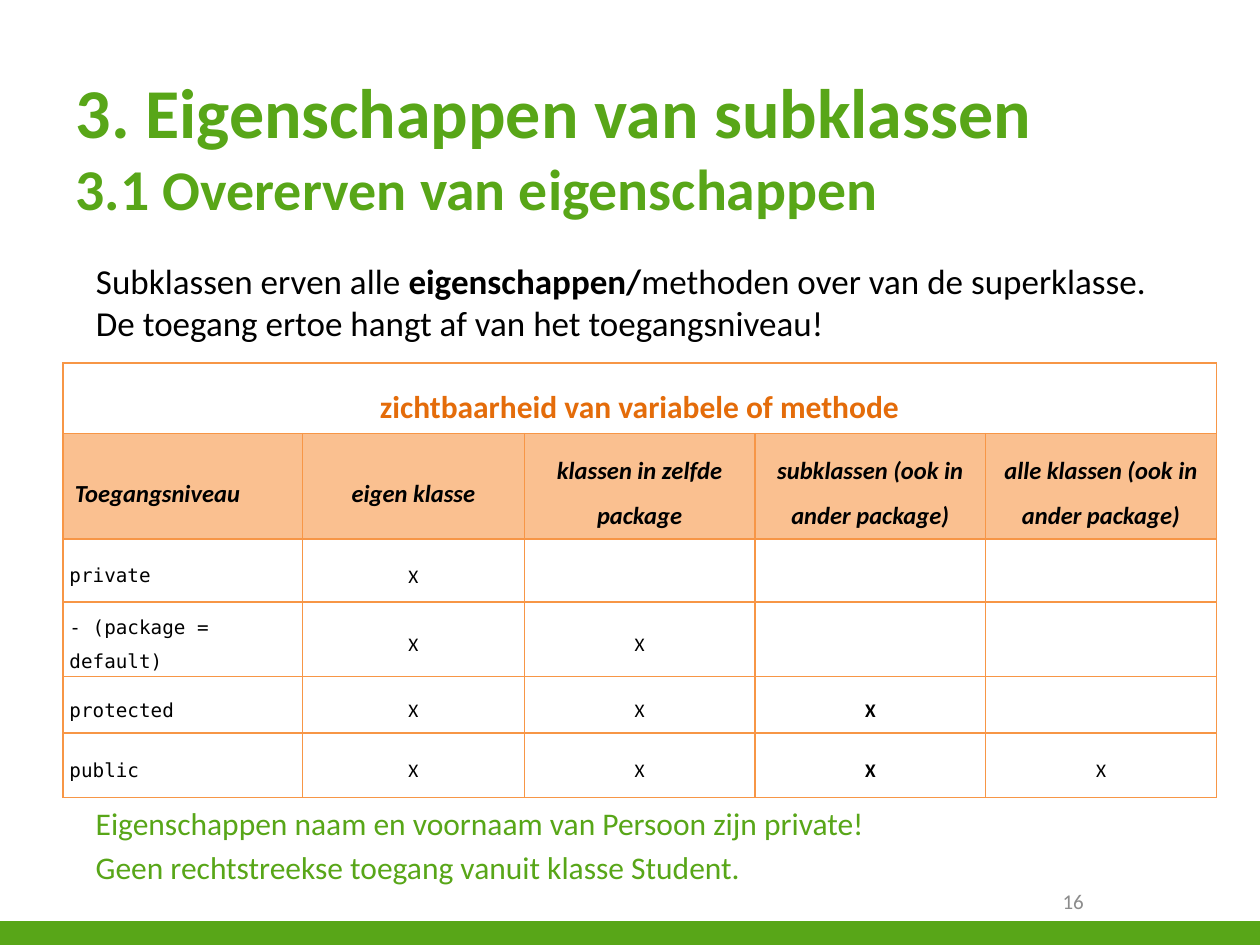
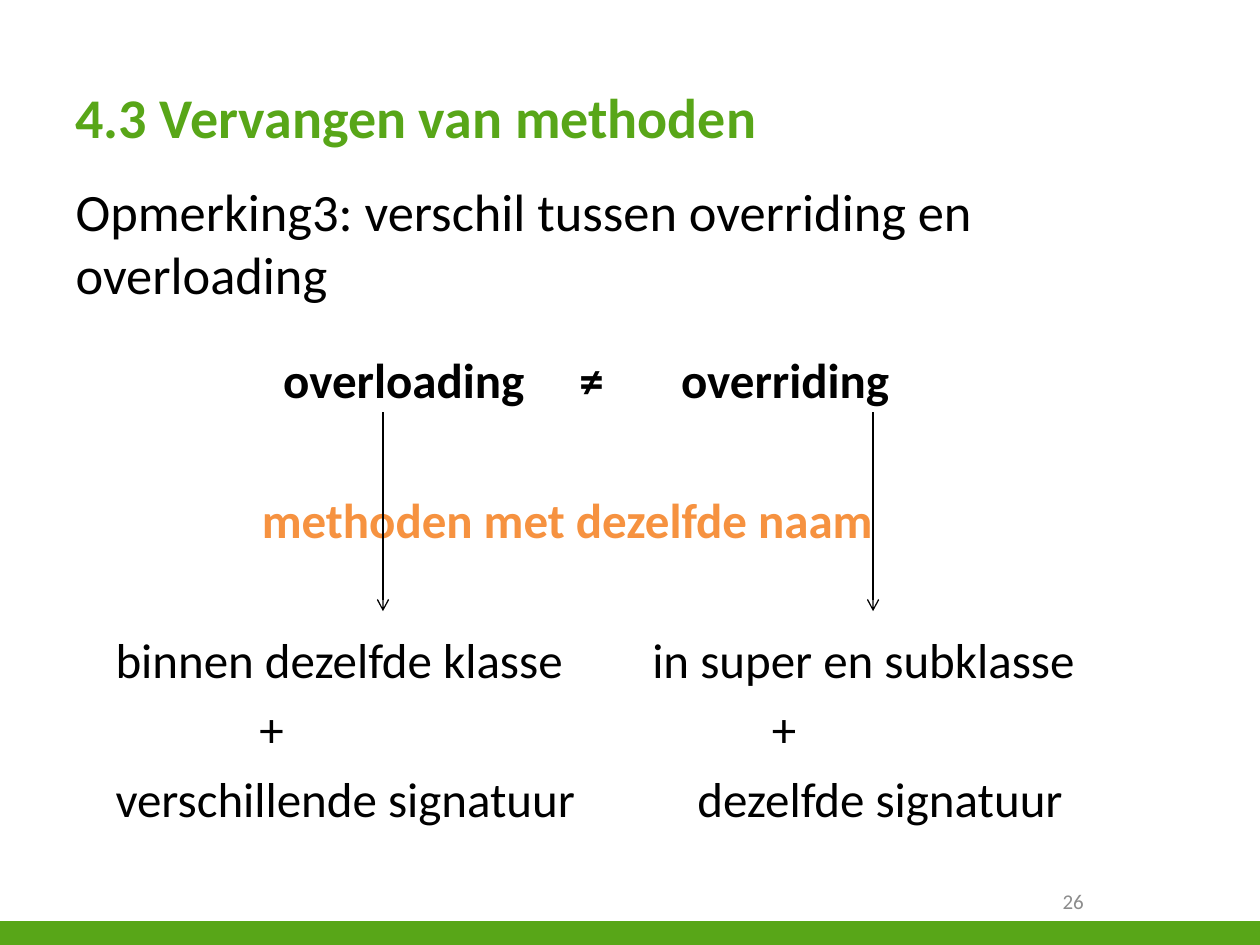
from dataclasses import dataclass

from lxml import etree
from pptx import Presentation
from pptx import util as u
from pptx.dml.color import RGBColor
from pptx.enum import shapes, text
from pptx.oxml import ns

COLORS = {
    "green": "58A618",
    "black": "000000",
    "white": "FFFFFF",
    "grey": "8C8C8C",
    "orange": "F69240",
    "dark_orange": "E46C0A",
    "peach": "FAC090",
    "border": "F79646",
}
SANS = "Calibri"
MONO = "DejaVu Sans Mono"
LEFT, CENTER, RIGHT = text.PP_ALIGN.LEFT, text.PP_ALIGN.CENTER, text.PP_ALIGN.RIGHT
TOP, MIDDLE = text.MSO_ANCHOR.TOP, text.MSO_ANCHOR.MIDDLE


@dataclass(frozen=True)
class Area:
    left: float
    top: float
    width: float
    height: float

    def lengths(self) -> tuple:
        return tuple(u.Cm(n) for n in (self.left, self.top, self.width, self.height))


@dataclass(frozen=True)
class Span:
    words: str
    size: float | None = None
    bold: bool | None = None
    color: str | None = None


@dataclass(frozen=True)
class Row:
    spans: list[Span]
    tabs: tuple[float, ...] = ()
    before: float = 6


@dataclass(frozen=True)
class Access:
    level: str
    marks: tuple[str, ...]
    height: float


NUMBER_AREA = Area(18.21, 17.65, 3.89, 1.02)
BAND_AREA = Area(0, 18.57, 25.4, 0.48)
NOTES_AREA = Area(1.68, 16.08, 19.2, 2.21)
COMPARISON_AREA = Area(2.08, 6.93, 20.02, 10.72)
TABLE_LEFT, TABLE_TOP = 1.27, 7.32
COLUMN_WIDTHS = [4.83, 4.47, 4.65, 4.65, 4.65]
CAPTION_HEIGHT, HEADER_HEIGHT = 1.42, 2.13
HEADERS = [
    "Toegangsniveau",
    "eigen klasse",
    "klassen in zelfde package",
    "subklassen (ook in ander package)",
    "alle klassen (ook in ander package)",
]
ACCESS_ROWS = [
    Access("private", ("X",), 1.27),
    Access("- (package = default)", ("X", "X"), 1.5),
    Access("protected", ("X", "X", "X"), 1.14),
    Access("public", ("X", "X", "X", "X"), 1.3),
]
SUBCLASS_COLUMN = 3
COMPARISON = [
    Row([Span("\toverloading\t≠\toverriding", bold=True)], (3.38, 9.35, 11.4)),
    Row([Span("\tmethoden met dezelfde naam", bold=True, color="orange")], (2.95,), 46.2),
    Row([Span("binnen dezelfde klasse\tin super en subklasse")], (10.82,), 46.2),
    Row([Span("\t+\t+")], (2.9, 13.23)),
    Row([Span("verschillende signatuur\tdezelfde signatuur")], (11.73,)),
]
ARROW_XS = (7.72, 17.6)
ARROW_TOP, ARROW_BOTTOM = 8.31, 12.32


def rgb(name: str) -> RGBColor:
    return RGBColor.from_string(COLORS[name])


def write(para, spans: str | list[Span], *, size: float, color: str = "black",
          bold: bool = False, italic: bool = False, font: str = SANS, align=LEFT,
          line: float | None = None, before: float | None = None,
          after: float | None = None) -> None:
    para.alignment = align
    if line is not None:
        para.line_spacing = line
    if before is not None:
        para.space_before = u.Pt(before)
    if after is not None:
        para.space_after = u.Pt(after)
    for span in [Span(spans)] if isinstance(spans, str) else spans:
        for index, words in enumerate(span.words.split("\n")):
            if index:
                para.add_line_break()
            if not words:
                continue
            run = para.add_run()
            run.text = words
            run.font.name = font
            run.font.size = u.Pt(span.size or size)
            run.font.bold = bold if span.bold is None else span.bold
            run.font.italic = italic
            run.font.color.rgb = rgb(span.color or color)


def prepare_frame(box, anchor=TOP):
    frame = box.text_frame
    frame.word_wrap = True
    frame.auto_size = text.MSO_AUTO_SIZE.NONE
    frame.vertical_anchor = anchor
    return frame


def add_box(page, area: Area, anchor=TOP):
    return prepare_frame(page.shapes.add_textbox(*area.lengths()), anchor)


def fill_placeholder(box, area: Area, spans: str | list[Span], anchor=TOP, **style) -> None:
    box.left, box.top, box.width, box.height = area.lengths()
    para = prepare_frame(box, anchor).paragraphs[0]
    write(para, spans, **style)
    properties = para._p.get_or_add_pPr()
    properties.set("marL", "0")
    properties.set("indent", "0")
    etree.SubElement(properties, ns.qn("a:buNone"))


def add_page(deck, number: int, title_height: float, title: str | list[Span],
             title_size: float, body_area: Area, body: str | list[Span], body_size: float):
    page = deck.slides.add_slide(deck.slide_layouts[1])
    fill_placeholder(page.shapes.title, Area(1.27, 0.76, 22.86, title_height), title,
                     MIDDLE, size=title_size, bold=True, color="green")
    fill_placeholder(page.placeholders[1], body_area, body, size=body_size)
    frame = add_box(page, NUMBER_AREA, MIDDLE)
    write(frame.paragraphs[0], str(number), size=12, color="grey", align=RIGHT)
    return page


def add_master_band(deck, page) -> None:
    band = page.shapes.add_shape(shapes.MSO_SHAPE.RECTANGLE, *BAND_AREA.lengths())
    band.shadow.inherit = False
    band.fill.solid()
    band.fill.fore_color.rgb = rgb("green")
    band.line.fill.background()
    band.element.nvSpPr.cNvPr.set("id", "99")
    deck.slide_master.element.cSld.spTree.insert(2, band.element)


def format_cell(cell, words: str, *, fill: str = "white", indent: float = 0, **style) -> None:
    cell.margin_left, cell.margin_right = u.Cm(0.13 + indent), u.Cm(0.13)
    cell.margin_top = cell.margin_bottom = 0
    cell.vertical_anchor = MIDDLE
    properties = cell._tc.get_or_add_tcPr()
    for side in ("lnL", "lnR", "lnT", "lnB"):
        edge = etree.SubElement(properties, ns.qn(f"a:{side}"), w=str(u.Pt(1)))
        paint = etree.SubElement(edge, ns.qn("a:solidFill"))
        etree.SubElement(paint, ns.qn("a:srgbClr"), val=COLORS["border"])
    cell.fill.solid()
    cell.fill.fore_color.rgb = rgb(fill)
    write(cell.text_frame.paragraphs[0], words, line=1.5, after=6, **style)


def add_access_table(page) -> None:
    heights = [CAPTION_HEIGHT, HEADER_HEIGHT] + [access.height for access in ACCESS_ROWS]
    area = Area(TABLE_LEFT, TABLE_TOP, sum(COLUMN_WIDTHS), sum(heights))
    table = page.shapes.add_table(len(heights), len(COLUMN_WIDTHS), *area.lengths()).table
    table.first_row = table.horz_banding = False
    for column, width in zip(table.columns, COLUMN_WIDTHS):
        column.width = u.Cm(width)
    for row, height in zip(table.rows, heights):
        row.height = u.Cm(height)

    table.cell(0, 0).merge(table.cell(0, len(COLUMN_WIDTHS) - 1))
    for column, header in enumerate(HEADERS):
        caption = "" if column else "zichtbaarheid van variabele of methode"
        format_cell(table.cell(0, column), caption, size=18, bold=True,
                    color="dark_orange", align=CENTER)
        format_cell(table.cell(1, column), header, fill="peach", size=14, bold=True,
                    italic=True, align=CENTER if column else LEFT,
                    indent=0 if column else 0.11)
    for row, access in enumerate(ACCESS_ROWS, start=2):
        format_cell(table.cell(row, 0), access.level, size=11, font=MONO)
        for column in range(1, len(COLUMN_WIDTHS)):
            mark = access.marks[column - 1] if column <= len(access.marks) else ""
            format_cell(table.cell(row, column), mark, size=11, align=CENTER,
                        bold=column == SUBCLASS_COLUMN)


def add_lines(frame, rows: list[Row], **style) -> None:
    for index, row in enumerate(rows):
        para = frame.add_paragraph() if index else frame.paragraphs[0]
        write(para, row.spans, before=row.before, **style)
        if row.tabs:
            stops = etree.SubElement(para._p.get_or_add_pPr(), ns.qn("a:tabLst"))
            for position in row.tabs:
                etree.SubElement(stops, ns.qn("a:tab"), pos=str(u.Cm(position)), algn="l")


def add_down_arrow(page, x: float) -> None:
    arrow = page.shapes.add_connector(shapes.MSO_CONNECTOR.STRAIGHT, u.Cm(x),
                                      u.Cm(ARROW_TOP), u.Cm(x), u.Cm(ARROW_BOTTOM))
    arrow.line.color.rgb = rgb("black")
    arrow.line.width = u.Pt(0.75)
    etree.SubElement(arrow.line._get_or_add_ln(), ns.qn("a:tailEnd"), type="arrow")
    etree.SubElement(arrow.element.spPr, ns.qn("a:effectLst"))


def build_inheritance_page(deck):
    title = [
        Span("3. Eigenschappen van subklassen\n"),
        Span("3.1 ", size=33),
        Span("Overerven", size=32),
        Span(" van eigenschappen", size=33),
    ]
    body = [
        Span("Subklassen erven alle "),
        Span("eigenschappen/", bold=True),
        Span("methoden over van de superklasse.\n"
             "De toegang ertoe hangt af van het toegangsniveau!"),
    ]
    page = add_page(deck, 16, 4.34, title, 40, Area(1.68, 5.11, 23.32, 2.21), body, 20)
    add_access_table(page)
    notes = [
        "Eigenschappen naam en voornaam van Persoon zijn private!",
        "Geen rechtstreekse toegang vanuit klasse Student.",
    ]
    add_lines(add_box(page, NOTES_AREA), [Row([Span(note)], before=3.6) for note in notes],
              size=18, color="green")
    return page


def build_overriding_page(deck) -> None:
    page = add_page(deck, 26, 3.18, "4.3 Vervangen van methoden", 32,
                    Area(1.27, 3.48, 23.7, 3.25),
                    "Opmerking3: verschil tussen overriding en overloading", 30)
    add_lines(add_box(page, COMPARISON_AREA), COMPARISON, size=28)
    for x in ARROW_XS:
        add_down_arrow(page, x)


def main() -> None:
    deck = Presentation()
    deck.slide_width, deck.slide_height = u.Cm(25.4), u.Cm(19.05)
    add_master_band(deck, build_inheritance_page(deck))
    build_overriding_page(deck)
    deck.save("out.pptx")


if __name__ == "__main__":
    main()
